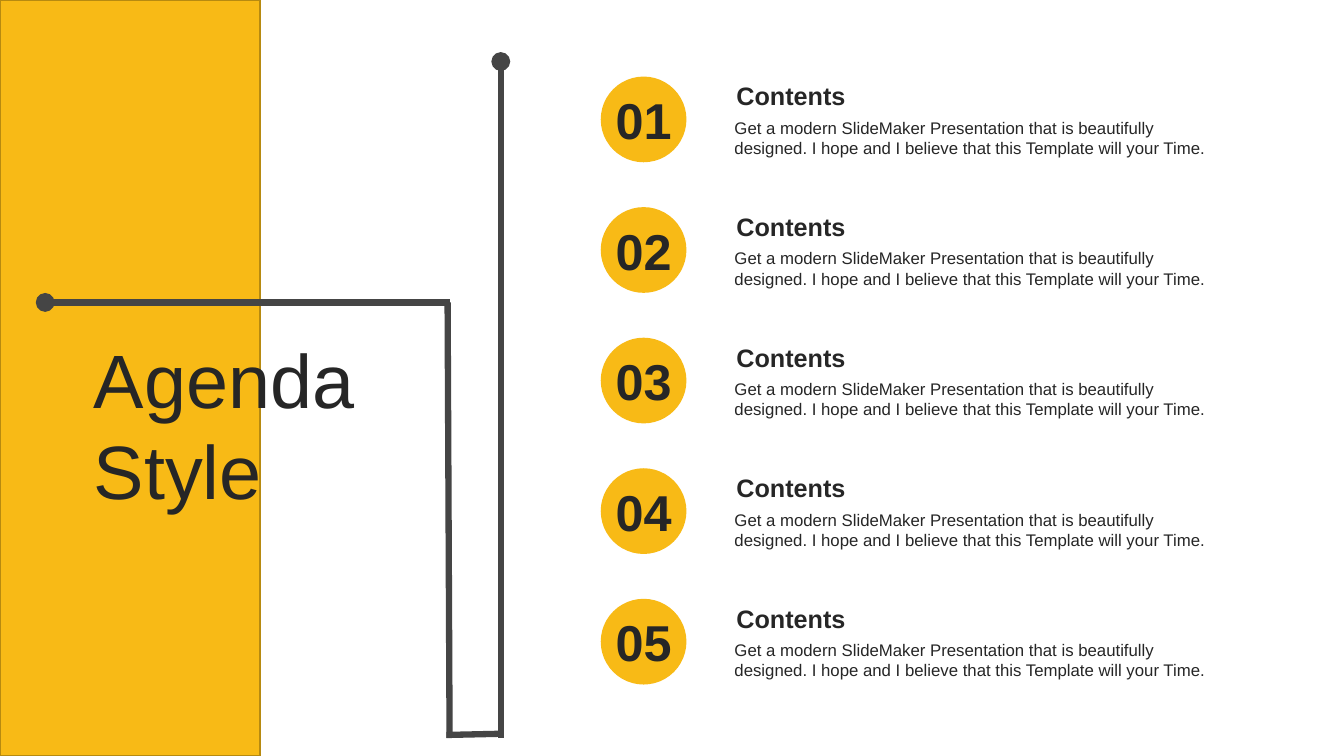
from dataclasses import dataclass

from lxml.etree import SubElement
from pptx import Presentation
from pptx.dml.color import RGBColor
from pptx.enum.shapes import MSO_CONNECTOR as Connector, MSO_SHAPE as Shape
from pptx.enum.text import MSO_ANCHOR as Anchor, MSO_AUTO_SIZE as AutoSize, PP_ALIGN as Align
from pptx.oxml.ns import qn
from pptx.util import Cm, Pt


@dataclass(frozen=True)
class Theme:
    yellow: RGBColor = RGBColor(0xF8, 0xBA, 0x16)
    band_edge: RGBColor = RGBColor(0xB7, 0x8A, 0x10)
    line: RGBColor = RGBColor(0x45, 0x45, 0x45)
    text: RGBColor = RGBColor(0x26, 0x26, 0x26)
    font: str = "Arial"
    title: Pt = Pt(54)
    number: Pt = Pt(36)
    heading: Pt = Pt(18)
    body: Pt = Pt(12)
    stroke: Pt = Pt(4.5)


theme = Theme()


def write(paragraph, text, size, bold=False, align=Align.LEFT):
    paragraph.alignment = align
    run = paragraph.add_run()
    run.text = text
    run.font.name = theme.font
    run.font.size = size
    run.font.bold = bold
    run.font.color.rgb = theme.text


def add_text(shapes, left, top, width, height, inset):
    frame = shapes.add_textbox(Cm(left), Cm(top), Cm(width), Cm(height)).text_frame
    frame.word_wrap = True
    frame.auto_size = AutoSize.SHAPE_TO_FIT_TEXT
    frame.margin_left = frame.margin_right = Cm(inset)
    return frame.paragraphs[0]


presentation = Presentation()
presentation.slide_width = Cm(33.87)
presentation.slide_height = Cm(19.05)
slide = presentation.slides.add_slide(presentation.slide_layouts[5])

band = slide.shapes.add_shape(Shape.RECTANGLE, 0, 0, Cm(6.55), presentation.slide_height)
band.shadow.inherit = False
band.fill.solid()
band.fill.fore_color.rgb = theme.yellow
band.line.color.rgb = theme.band_edge
band.line.width = Pt(1)

title = slide.shapes.title
title.element.addprevious(band.element)
title.left, title.top, title.width, title.height = Cm(2.11), Cm(8.23), Cm(8.94), Cm(4.88)
title.text_frame.auto_size = AutoSize.NONE
title.text_frame.vertical_anchor = Anchor.MIDDLE
write(title.text_frame.paragraphs[0], "Agenda", theme.title)
write(title.text_frame.add_paragraph(), "Style", theme.title)

path_lines = [
    (1.14, 7.62, 11.33, 7.62, "a:headEnd"),
    (11.33, 18.59, 11.28, 7.62, None),
    (12.62, 18.59, 12.62, 1.55, "a:tailEnd"),
    (11.25, 18.52, 12.65, 18.49, None),
]
for start_x, start_y, end_x, end_y, dot_end in path_lines:
    connector = slide.shapes.add_connector(
        Connector.STRAIGHT, Cm(start_x), Cm(start_y), Cm(end_x), Cm(end_y))
    connector.line.color.rgb = theme.line
    connector.line.width = theme.stroke
    properties = connector.element.spPr
    if dot_end:
        SubElement(properties.find(qn("a:ln")), qn(dot_end), type="oval")
    SubElement(properties, qn("a:effectLst"))

description = ("Get a modern SlideMaker Presentation that is beautifully designed. "
               "I hope and I believe that this Template will your Time.")
first_top, pitch = 1.91, 3.29
text_left, text_width = 18.26, 12.52

for index in range(5):
    top = first_top + index * pitch
    item = slide.shapes.add_group_shape().shapes

    body = add_text(item, text_left, top + 0.93, text_width, 1.27, 0.25)
    write(body, description, theme.body)
    heading = add_text(item, text_left, top, text_width, 1.02, 0.3)
    write(heading, "Contents", theme.heading, bold=True)

    circle = item.add_shape(Shape.OVAL, Cm(15.14), Cm(top + 0.02), Cm(2.16), Cm(2.16))
    circle.shadow.inherit = False
    circle.fill.solid()
    circle.fill.fore_color.rgb = theme.yellow
    circle.line.fill.background()
    frame = circle.text_frame
    frame.word_wrap = False
    frame.vertical_anchor = Anchor.MIDDLE
    frame.margin_left = frame.margin_right = frame.margin_top = frame.margin_bottom = 0
    write(frame.paragraphs[0], f"{index + 1:02}", theme.number, bold=True, align=Align.CENTER)

presentation.save("out.pptx")
